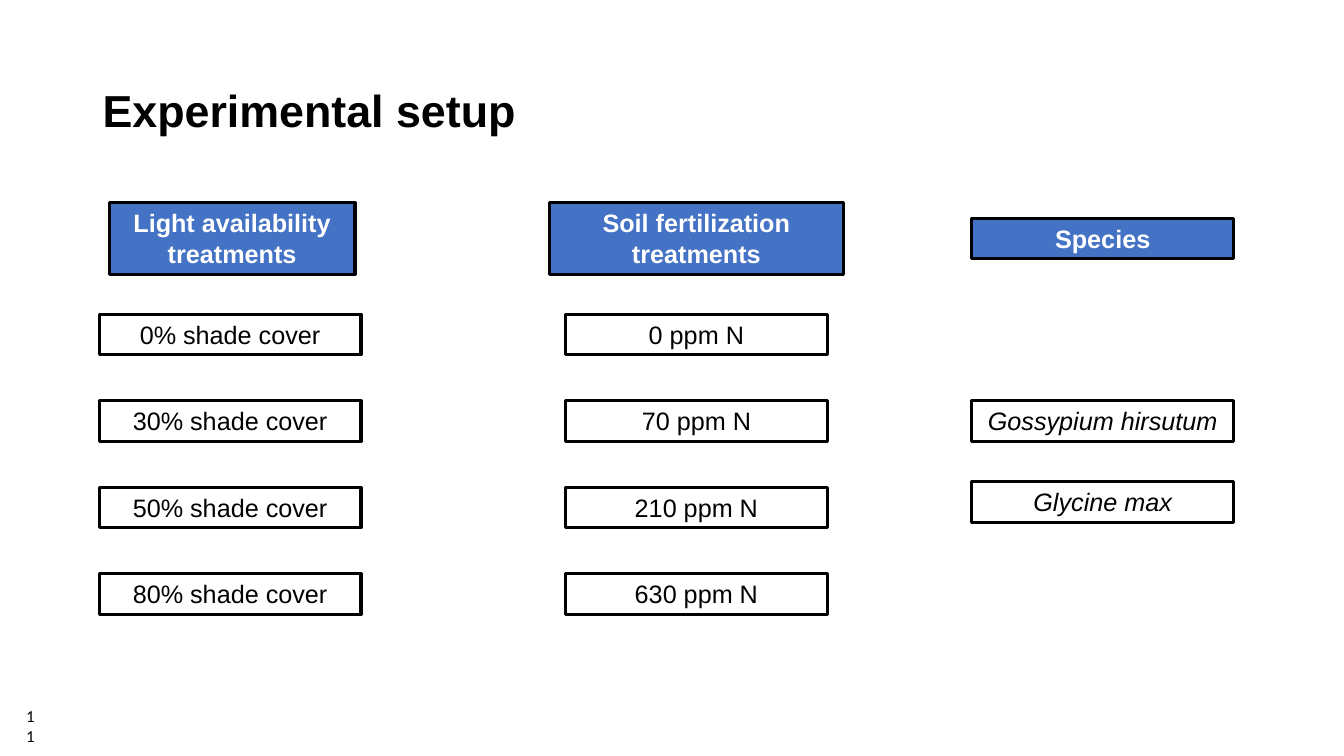
"""Build the experimental setup slide with three columns of treatment boxes."""
import pptx
import pptx.dml.color
import pptx.enum.shapes
import pptx.enum.text
import pptx.util

Cm, Pt = pptx.util.Cm, pptx.util.Pt
RGBColor = pptx.dml.color.RGBColor
MSO_ANCHOR = pptx.enum.text.MSO_ANCHOR
MSO_AUTO_SIZE = pptx.enum.text.MSO_AUTO_SIZE
PP_ALIGN = pptx.enum.text.PP_ALIGN

BLACK = RGBColor(0x00, 0x00, 0x00)
WHITE = RGBColor(0xFF, 0xFF, 0xFF)
BLUE = RGBColor(0x44, 0x72, 0xC4)

TITLE = "Experimental setup"
PAGE = "11"
COLUMNS = [
    {"header": "Light availability treatments", "header_centre": 5.85,
     "header_size": (6.2, 1.8), "centre": 5.8, "top": 7.92, "step": 2.18, "italic": False,
     "levels": ["0% shade cover", "30% shade cover", "50% shade cover", "80% shade cover"]},
    {"header": "Soil fertilization treatments", "header_centre": 17.55,
     "header_size": (7.42, 1.8), "centre": 17.55, "top": 7.92, "step": 2.18, "italic": False,
     "levels": ["0 ppm N", "70 ppm N", "210 ppm N", "630 ppm N"]},
    {"header": "Species", "header_centre": 27.79,
     "header_size": (6.6, 1.02), "centre": 27.79, "top": 10.1, "step": 2.04, "italic": True,
     "levels": ["Gossypium hirsutum", "Glycine max"]},
]
HEADER_MIDDLE = 6.01
LEVEL_SIZE = (6.6, 1.02)

TITLE_FONT = {"name": "Arial", "size": Pt(32), "bold": True}
HEADER_FONT = {"name": "Arial", "size": Pt(18), "bold": True}
LEVEL_FONT = {"name": "Arial", "size": Pt(18), "bold": False}
PAGE_FONT = {"name": "Calibri", "size": Pt(12)}


def write(tf, text, font, color, align):
    p = tf.paragraphs[0]
    p.alignment = align
    r = p.add_run()
    r.text = text
    for key, value in font.items():
        setattr(r.font, key, value)
    r.font.color.rgb = color


def add_box(s, text, centre, middle, size, font, color, fill=None):
    width, height = size
    sp = s.shapes.add_shape(
        pptx.enum.shapes.MSO_SHAPE.RECTANGLE,
        Cm(centre - width / 2), Cm(middle - height / 2), Cm(width), Cm(height))
    sp.shadow.inherit = False
    if fill is None:
        sp.fill.background()
    else:
        sp.fill.solid()
        sp.fill.fore_color.rgb = fill
    sp.line.color.rgb = BLACK
    sp.line.width = Pt(2.25)
    tf = sp.text_frame
    tf.word_wrap = True
    tf.auto_size = MSO_AUTO_SIZE.SHAPE_TO_FIT_TEXT
    tf.vertical_anchor = MSO_ANCHOR.TOP
    write(tf, text, font, color, PP_ALIGN.CENTER)


def main():
    prs = pptx.Presentation()
    prs.slide_width, prs.slide_height = Cm(33.87), Cm(19.05)
    s = prs.slides.add_slide(prs.slide_layouts[5])

    title = s.shapes.title
    title.left, title.top, title.width, title.height = Cm(2.33), Cm(1.01), Cm(29.21), Cm(3.68)
    title.text_frame.vertical_anchor = MSO_ANCHOR.MIDDLE
    write(title.text_frame, TITLE, TITLE_FONT, BLACK, PP_ALIGN.LEFT)
    title.text_frame.paragraphs[0].line_spacing = 0.9

    for column in COLUMNS:
        add_box(s, column["header"], column["header_centre"], HEADER_MIDDLE,
                column["header_size"], HEADER_FONT, WHITE, BLUE)
        font = {**LEVEL_FONT, "italic": column["italic"]}
        for i, level in enumerate(column["levels"]):
            middle = column["top"] + i * column["step"] + LEVEL_SIZE[1] / 2
            add_box(s, level, column["centre"], middle, LEVEL_SIZE, font, BLACK)

    page = s.shapes.add_textbox(Cm(0.41), Cm(17.65), Cm(0.74), Cm(0.76))
    page.text_frame.word_wrap = True
    write(page.text_frame, PAGE, PAGE_FONT, BLACK, PP_ALIGN.LEFT)

    prs.save("out.pptx")


if __name__ == "__main__":
    main()
